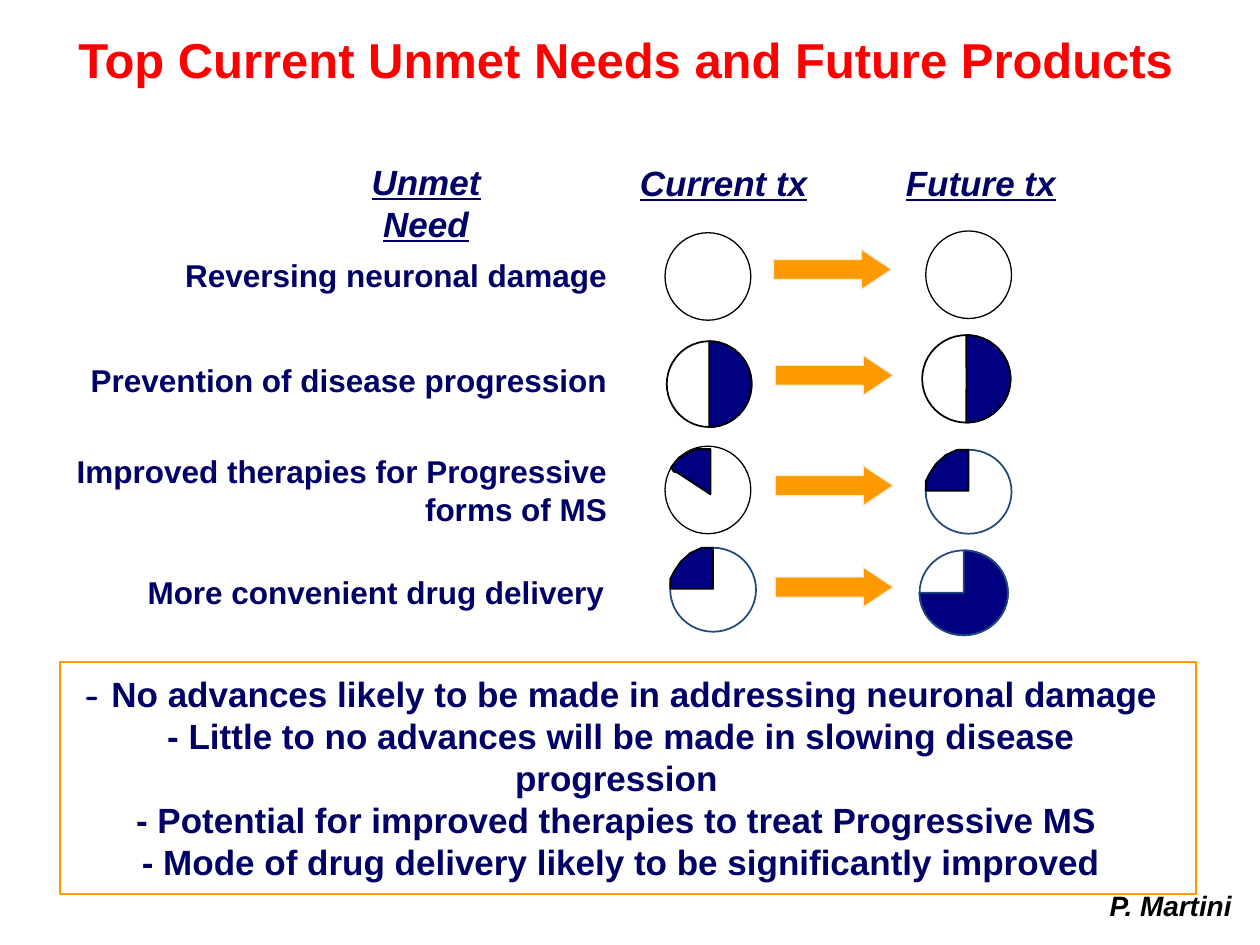
from dataclasses import dataclass

from pptx import Presentation
from pptx.dml.color import RGBColor
from pptx.enum.shapes import MSO_SHAPE
from pptx.enum.text import MSO_ANCHOR, PP_ALIGN
from pptx.util import Pt

OVAL, RECT = MSO_SHAPE.OVAL, MSO_SHAPE.RECTANGLE
ARROW, PIE = MSO_SHAPE.RIGHT_ARROW, MSO_SHAPE.PIE
LEFT, MID, RIGHT = PP_ALIGN.LEFT, PP_ALIGN.CENTER, PP_ALIGN.RIGHT
TOP, CENTER = MSO_ANCHOR.TOP, MSO_ANCHOR.MIDDLE


@dataclass(frozen=True)
class Theme:
    red: str = "FF0000"
    ink: str = "000066"
    navy: str = "000080"
    blue: str = "1F497D"
    black: str = "000000"
    gold: str = "FF9900"
    pale: str = "EEECE1"
    font: str = "Arial"
    hand: str = "Comic Neue"
    title: int = 28
    head: int = 20
    label: int = 18
    credit: int = 16


class Deck:
    """Draw styled elements on the current slide, with lengths in points."""

    def __init__(self, theme):
        self.theme = theme
        self.file = Presentation()
        self.file.slide_width, self.file.slide_height = Pt(720), Pt(540)
        self.slide = self.file.slides.add_slide(self.file.slide_layouts[6])

    def paint(self, shape, fill, line, width):
        shape.shadow.inherit = False
        if fill:
            shape.fill.solid()
            shape.fill.fore_color.rgb = RGBColor.from_string(fill)
        else:
            shape.fill.background()
        shape.line.color.rgb = RGBColor.from_string(line)
        shape.line.width = Pt(width)

    def shape(self, kind, box, fill, line, width, adjust=()):
        item = self.slide.shapes.add_shape(kind, *map(Pt, box))
        for i, value in enumerate(adjust):
            item.adjustments[i] = value
        self.paint(item, fill, line, width)

    def wedge(self, left, top, points):
        spots = [(Pt(left + x), Pt(top + y)) for x, y in points]
        path = self.slide.shapes.build_freeform(*spots[0], scale=1.0)
        path.add_line_segments(spots[1:], close=True)
        self.paint(path.convert_to_shape(), self.theme.navy, self.theme.black, 1)

    def text(self, box, lines, size, color, align, wrap=False, slant=False,
             under=False, anchor=TOP, pitch=None):
        frame = self.slide.shapes.add_textbox(*map(Pt, box)).text_frame
        frame.word_wrap = wrap
        frame.vertical_anchor = anchor
        para = frame.paragraphs[0]
        para.alignment = align
        if pitch:
            para.line_spacing = Pt(pitch)
        for i, line in enumerate(lines):
            if i:
                para.add_line_break()
            for words, face in line:
                run = para.add_run()
                run.text = words
                font = run.font
                font.name, font.size, font.bold = face, Pt(size), True
                font.color.rgb = RGBColor.from_string(color)
                if slant:
                    font.italic = True
                if under:
                    font.underline = True


def main():
    theme = Theme()
    deck = Deck(theme)

    def plain(words):
        return [[(words, theme.font)]]

    deck.text((24, 13.5, 667, 41), plain("Top Current Unmet Needs and Future Products"),
              theme.title, theme.red, MID, wrap=True)

    heads = [("Unmet Need", 178, 88, 131), ("Current tx", 358.5, 88.5, 110),
             ("Future tx", 510.5, 88.5, 100)]
    for words, left, top, width in heads:
        deck.text((left, top, width, 31), plain(words), theme.head, theme.ink,
                  MID, slant=True, under=True)

    needs = [("Reversing neuronal damage", 98.5, 142.5, 255.5, 29, None),
             ("Prevention of disease progression", 44.5, 202.5, 309.5, 29, None),
             ("Improved therapies for Progressive forms of MS", 22, 255, 332, 50, 21.6),
             ("More convenient drug delivery", 77, 324, 275.5, 29, None)]
    for words, left, top, width, height, pitch in needs:
        deck.text((left, top, width, height), plain(words), theme.label, theme.ink,
                  RIGHT, wrap=bool(pitch), pitch=pitch)

    sliver = [(7, 15), (26, 27.5), (26, 1.5), (18, 1.5), (8, 6.5), (3.5, 12), (5, 14.5)]
    quarter = [(0, 23.5), (24.5, 23.5), (24.5, 0), (18, 0), (11.5, 3), (6, 8),
               (2, 14), (0, 18)]
    wedges = {"sliver": sliver, "quarter": quarter}
    ends = {"half": 90, "most": 180}
    rims = {"quarter": (theme.blue, 1), "most": (theme.blue, 1),
            "half": (theme.black, 1)}
    discs = [((380, 133, 49, 50), "none"), ((529, 132, 49, 50), "none"),
             ((381, 195, 48.5, 49), "half"), ((527, 191.5, 50.5, 50), "half"),
             ((380, 255, 49, 50), "sliver"), ((529, 257, 49, 48), "quarter"),
             ((383, 313, 49, 48), "quarter"), ((525.5, 314.5, 50.5, 48.5), "most")]
    for box, level in discs:
        rim = rims.get(level, (theme.black, 0.75))
        deck.shape(OVAL, box, None, *rim)
        if level in ends:
            deck.shape(PIE, box, theme.navy, *rim,
                       adjust=[angle * 0.6 for angle in (270, ends[level])])
        elif level in wedges:
            deck.wedge(*box[:2], wedges[level])

    for left, top in [(442, 142.5), (443, 203), (443, 266), (443, 324)]:
        deck.shape(ARROW, (left, top, 67.5, 23), theme.gold, theme.pale, 0.75,
                   adjust=(0.5, 0.75))

    deck.shape(RECT, (34.5, 378.5, 649, 132.5), None, theme.gold, 1.25)
    notes = [[("- ", theme.hand),
              ("No advances likely to be made in addressing neuronal damage", theme.font)]]
    for words in ("- Little to no advances will be made in slowing disease progression ",
                  "- Potential for improved therapies to treat Progressive MS ",
                  "- Mode of drug delivery likely to be significantly improved"):
        notes += plain(words)
    deck.text((32, 380.5, 646, 127.5), notes, theme.head, theme.ink, MID,
              wrap=True, anchor=CENTER, pitch=24)
    deck.text((627, 504, 89.5, 26.5), plain("P. Martini"), theme.credit, theme.black,
              LEFT, slant=True)
    deck.file.save("out.pptx")


if __name__ == "__main__":
    main()
